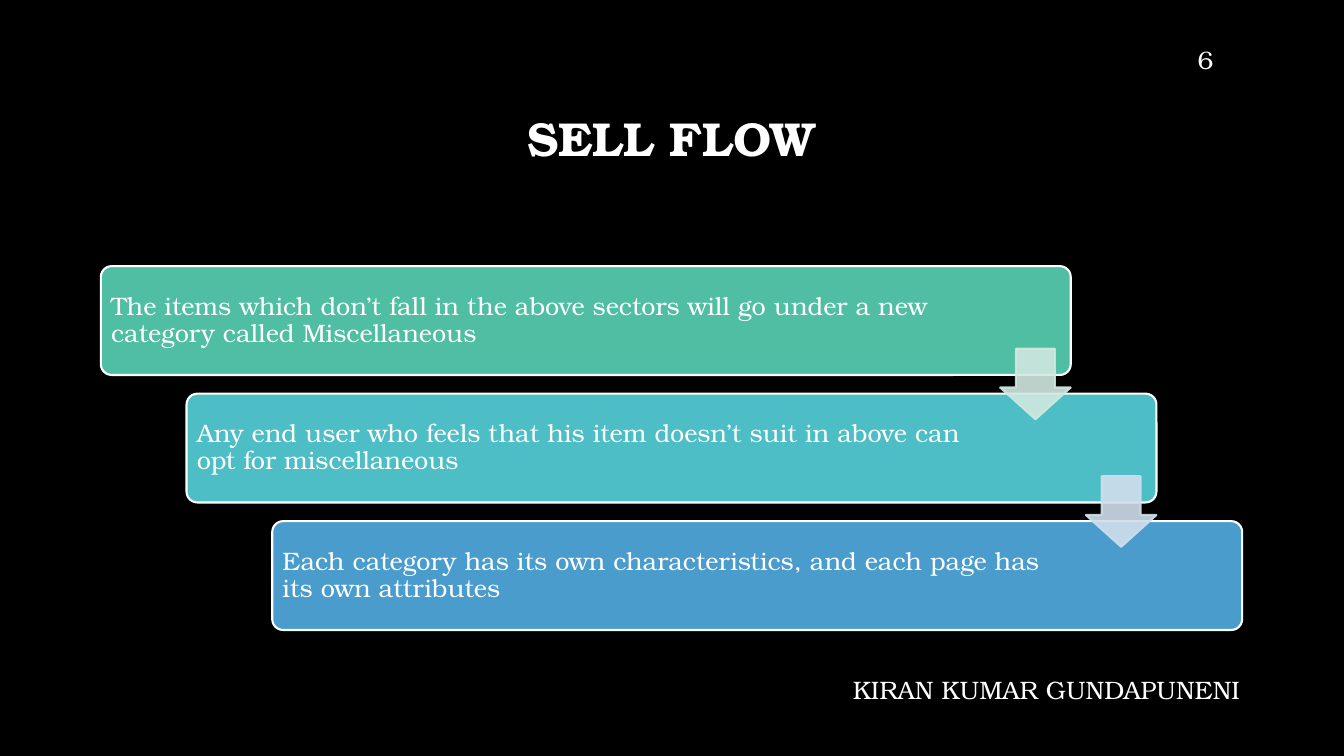
"""Build the SELL FLOW slide: three stepped cards joined by down arrows."""
import lxml.etree
import pptx
import pptx.dml.color
import pptx.enum.shapes
import pptx.enum.text
import pptx.oxml.ns
import pptx.util

Inches = pptx.util.Inches
Shapes = pptx.enum.shapes.MSO_SHAPE
Align = pptx.enum.text.PP_ALIGN
FONT = "TeX Gyre Bonum"
WHITE = "FFFFFF"


def paint(color_format, color):
    color_format.rgb = pptx.dml.color.RGBColor.from_string(color)


def write(frame, text, size=18, bold=False, align=Align.LEFT, spacing=1.0):
    frame.text = text
    frame.word_wrap = True
    para = frame.paragraphs[0]
    para.alignment = align
    para.line_spacing = spacing
    font = para.runs[0].font
    font.name = FONT
    font.size = pptx.util.Pt(size)
    font.bold = bold
    paint(font.color, WHITE)


deck = pptx.Presentation()
deck.slide_width = Inches(13.33)
deck.slide_height = Inches(7.5)
page = deck.slides.add_slide(deck.slide_layouts[5])
page.background.fill.solid()
paint(page.background.fill.fore_color, "000000")

title = page.shapes.title
title.left, title.top = Inches(1), Inches(0.67)
title.width, title.height = Inches(11.32), Inches(1.45)
title.text_frame.auto_size = pptx.enum.text.MSO_AUTO_SIZE.NONE
title.text_frame.vertical_anchor = pptx.enum.text.MSO_ANCHOR.MIDDLE
write(title.text_frame, "SELL FLOW", 34, True, Align.CENTER, 0.9)

CARD_LEFT, CARD_TOP, CARD_WIDTH, CARD_HEIGHT = 1, 2.64, 9.62, 1.08
STEP_X, STEP_Y = 0.85, 1.265
cards = [
    ("The items which don’t fall in the above sectors will go under a new "
     "category called Miscellaneous", "50BEA3", 1.18),
    ("Any end user who feels that his item doesn’t suit in above can "
     "opt for miscellaneous", "4DBEC5", 1.62),
    ("Each category has its own characteristics, and each page has "
     "its own attributes", "4A9CCC", 1.62),
]
for index, (text, color, right_margin) in enumerate(cards):
    card = page.shapes.add_shape(
        Shapes.ROUNDED_RECTANGLE,
        Inches(CARD_LEFT + index * STEP_X), Inches(CARD_TOP + index * STEP_Y),
        Inches(CARD_WIDTH), Inches(CARD_HEIGHT))
    card.adjustments[0] = 0.1
    card.shadow.inherit = False
    card.fill.solid()
    paint(card.fill.fore_color, color)
    paint(card.line.color, WHITE)
    card.line.width = pptx.util.Pt(1.5)
    frame = card.text_frame
    frame.margin_left = frame.margin_top = frame.margin_bottom = Inches(0.07)
    frame.margin_right = Inches(right_margin)
    frame.vertical_anchor = pptx.enum.text.MSO_ANCHOR.MIDDLE
    write(frame, text, spacing=0.9)

ARROW_SIZE = 0.7
for index, color in enumerate(["D0E8E0", "D0DEEC"]):
    arrow = page.shapes.add_shape(
        Shapes.DOWN_ARROW,
        Inches(CARD_LEFT + CARD_WIDTH - ARROW_SIZE + index * STEP_X),
        Inches(3.46 + index * STEP_Y),
        Inches(ARROW_SIZE), Inches(ARROW_SIZE))
    arrow.adjustments[0] = 0.55
    arrow.adjustments[1] = 0.45
    arrow.shadow.inherit = False
    arrow.fill.solid()
    paint(arrow.fill.fore_color, color)
    paint(arrow.line.color, color)
    arrow.line.width = pptx.util.Pt(1.5)
    properties = arrow.fill._xPr
    for tint in properties.iter(pptx.oxml.ns.qn("a:srgbClr")):
        lxml.etree.SubElement(tint, pptx.oxml.ns.qn("a:alpha"), val="90000")

labels = [
    ("KIRAN KUMAR GUNDAPUNENI", 8.36, 6.64, 4.63),
    ("6", 11.78, 0.39, 0.76),
]
for text, left, top, width in labels:
    label = page.shapes.add_textbox(
        Inches(left), Inches(top), Inches(width), Inches(0.4))
    write(label.text_frame, text)

deck.save("out.pptx")
